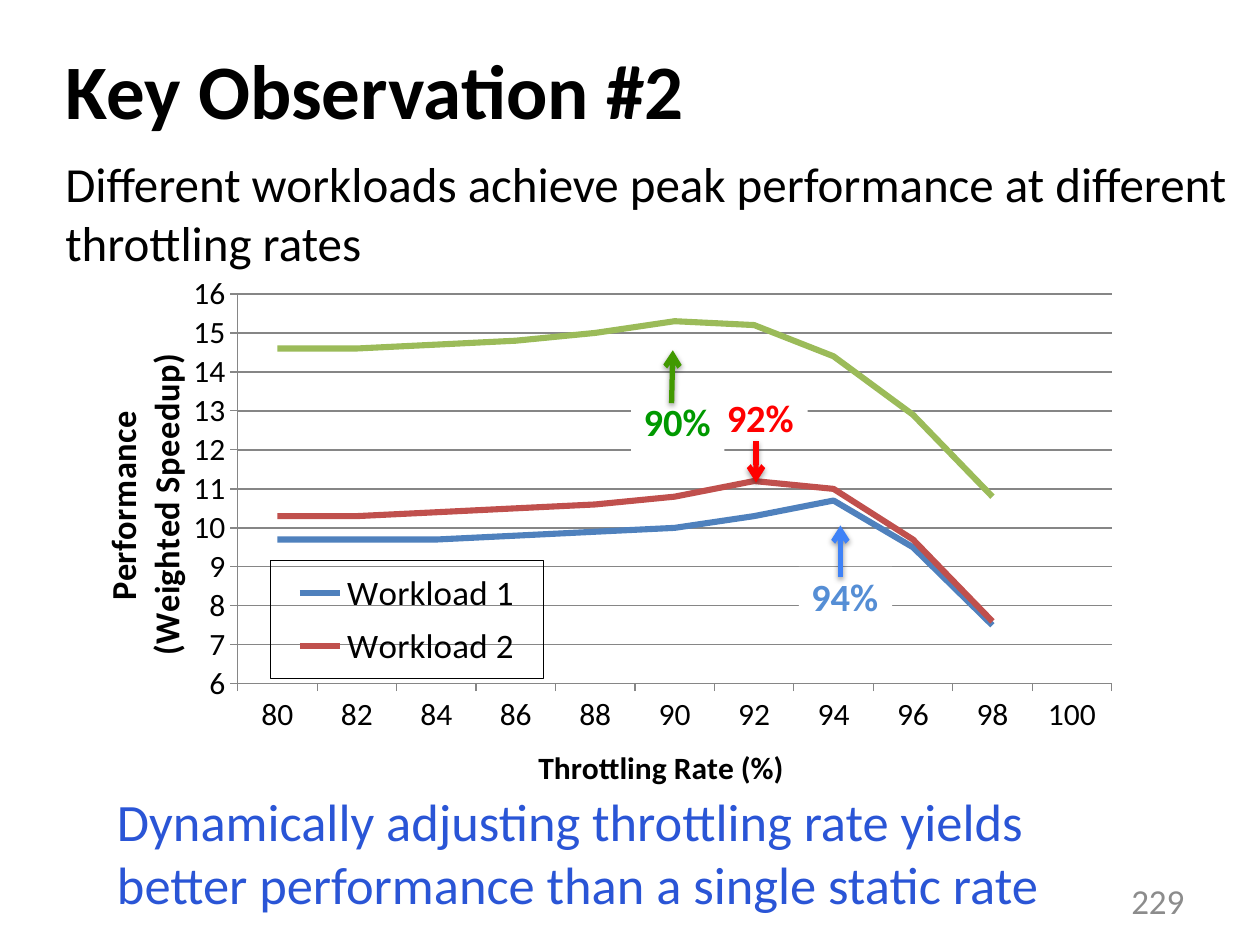
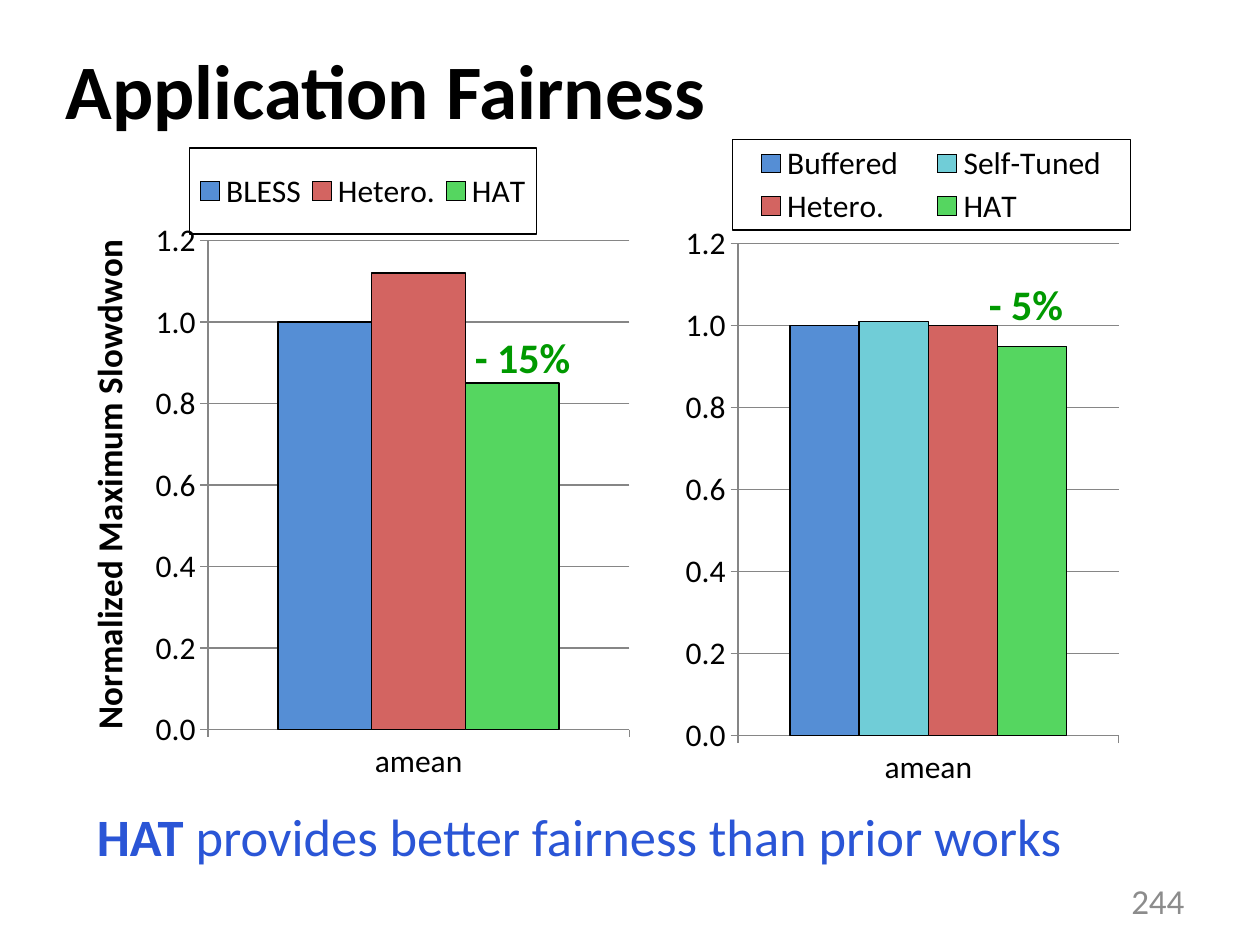
from dataclasses import dataclass
from typing import NamedTuple, Optional

from pptx import Presentation
from pptx.chart.data import CategoryChartData
from pptx.dml.color import RGBColor
from pptx.enum.chart import XL_CHART_TYPE, XL_LEGEND_POSITION, XL_TICK_MARK
from pptx.enum.shapes import MSO_CONNECTOR
from pptx.enum.text import MSO_ANCHOR, PP_ALIGN
from pptx.oxml import parse_xml
from pptx.oxml.ns import nsdecls, qn
from pptx.util import Inches, Pt

FONT = "Calibri"
BLACK, WHITE, GREY, GRID = "000000", "FFFFFF", "8C8C8C", "868686"
MESSAGE_BLUE, GREEN, RED, SKY = "2A55D6", "009900", "FF0000", "558ED5"
BRICK, LIME, TEAL = "D36461", "55D660", "70CDD7"


class Frame(NamedTuple):
    left: float
    top: float
    width: float
    height: float


class Span(NamedTuple):
    text: str
    bold: bool = False


class Series(NamedTuple):
    name: str
    values: list
    color: str


class AxisTitle(NamedTuple):
    text: str
    size: int
    left: float
    top: float


class PeakMark(NamedTuple):
    text: str
    frame: Frame
    text_color: str
    start: tuple
    end: tuple
    arrow_color: str


@dataclass
class ChartSpec:
    kind: XL_CHART_TYPE
    frame: Frame
    categories: list
    series: list
    plot: Frame
    legend: Frame
    legend_size: int
    minimum: float
    maximum: float
    step: float
    number_format: str
    value_title: Optional[AxisTitle] = None
    category_title: Optional[AxisTitle] = None
    unlisted: tuple = ()


def paint(code: str) -> RGBColor:
    return RGBColor.from_string(code)


def inches(frame: Frame) -> list:
    return [Inches(length) for length in frame]


def style_font(font, size: float, color: str, bold: bool = False) -> None:
    font.name = FONT
    font.size = Pt(size)
    font.bold = bold
    font.color.rgb = paint(color)


def add_spans(para, spans: list, size: float, color: str) -> None:
    for span in spans:
        run = para.add_run()
        run.text = span.text
        style_font(run.font, size, color, span.bold)


def add_text(page, frame: Frame, spans: list, size: float, color: str, wrap: bool = True):
    box = page.shapes.add_textbox(*inches(frame))
    box.text_frame.word_wrap = wrap
    add_spans(box.text_frame.paragraphs[0], spans, size, color)
    return box


def add_page(deck, title: str, number: str):
    page = deck.slides.add_slide(deck.slide_layouts[5])
    heading = page.shapes.title
    heading.left, heading.top, heading.width, heading.height = inches(Frame(0.42, 0.08, 9, 1.25))
    heading.text_frame.vertical_anchor = MSO_ANCHOR.MIDDLE
    para = heading.text_frame.paragraphs[0]
    para.alignment = PP_ALIGN.LEFT
    add_spans(para, [Span(title, True)], 44, BLACK)
    footer = add_text(page, Frame(7.17, 6.95, 2.33, 0.4), [Span(number)], 20, GREY)
    footer.text_frame.vertical_anchor = MSO_ANCHOR.MIDDLE
    footer.text_frame.paragraphs[0].alignment = PP_ALIGN.RIGHT
    return page


def place(parent, index: int, left: float, top: float, size: tuple = (), inner: bool = False) -> None:
    for old in parent.findall(qn("c:layout")):
        parent.remove(old)
    target = '<c:layoutTarget val="inner"/>' if inner else ""
    extent = "".join(f'<c:{tag} val="{value}"/>' for tag, value in zip("wh", size))
    parent.insert(index, parse_xml(
        f'<c:layout {nsdecls("c")}><c:manualLayout>{target}'
        f'<c:xMode val="edge"/><c:yMode val="edge"/>'
        f'<c:x val="{left}"/><c:y val="{top}"/>{extent}</c:manualLayout></c:layout>'))


def add_axis_title(axis, title: AxisTitle, vertical: bool) -> None:
    axis.has_title = True
    text_frame = axis.axis_title.text_frame
    for index, line in enumerate(title.text.split("\n")):
        para = text_frame.add_paragraph() if index else text_frame.paragraphs[0]
        add_spans(para, [Span(line, True)], title.size, BLACK)
    element = axis.axis_title._element
    if vertical:
        body = element.find(".//" + qn("a:bodyPr"))
        body.set("rot", "-5400000")
        body.set("vert", "horz")
    place(element, 1, title.left, title.top)


def style_axis(axis) -> None:
    axis.major_tick_mark = XL_TICK_MARK.OUTSIDE
    axis.minor_tick_mark = XL_TICK_MARK.NONE
    axis.format.line.color.rgb = paint(GRID)
    axis.format.line.width = Pt(0.75)
    style_font(axis.tick_labels.font, 18, BLACK)


def add_legend(chart, spec: ChartSpec) -> None:
    chart.has_legend = True
    chart.legend.position = XL_LEGEND_POSITION.RIGHT
    chart.legend.include_in_layout = False
    style_font(chart.legend.font, spec.legend_size, BLACK)
    element = chart.legend._element
    place(element, 1, spec.legend.left, spec.legend.top, spec.legend[2:])
    for index in spec.unlisted:
        element.insert(1, parse_xml(
            f'<c:legendEntry {nsdecls("c")}><c:idx val="{index}"/><c:delete val="1"/></c:legendEntry>'))
    element.find(qn("c:overlay")).addnext(parse_xml(
        f'<c:spPr {nsdecls("c", "a")}><a:noFill/><a:ln w="9525"><a:solidFill>'
        f'<a:srgbClr val="{BLACK}"/></a:solidFill></a:ln></c:spPr>'))


def add_spec_chart(page, spec: ChartSpec) -> None:
    data = CategoryChartData()
    data.categories = spec.categories
    for series in spec.series:
        data.add_series(series.name, series.values)
    chart = page.shapes.add_chart(spec.kind, *inches(spec.frame), data).chart
    chart.has_title = False
    style_font(chart.font, 10, BLACK)

    for axis in (chart.category_axis, chart.value_axis):
        style_axis(axis)
    value_axis = chart.value_axis
    value_axis.minimum_scale, value_axis.maximum_scale = spec.minimum, spec.maximum
    value_axis.major_unit = spec.step
    value_axis.tick_labels.number_format = spec.number_format
    value_axis.tick_labels.number_format_is_linked = False
    value_axis.has_major_gridlines = True
    value_axis.major_gridlines.format.line.color.rgb = paint(GRID)
    value_axis.major_gridlines.format.line.width = Pt(0.75)
    if spec.value_title:
        add_axis_title(value_axis, spec.value_title, True)
    if spec.category_title:
        add_axis_title(chart.category_axis, spec.category_title, False)

    plot = chart.plots[0]
    plot.vary_by_categories = False
    is_line = spec.kind == XL_CHART_TYPE.LINE
    if not is_line:
        plot.gap_width, plot.overlap = 150, 0
    for drawn, series in zip(plot.series, spec.series):
        line = drawn.format.line
        if is_line:
            drawn.smooth = False
        else:
            drawn.format.fill.solid()
            drawn.format.fill.fore_color.rgb = paint(series.color)
        line.color.rgb = paint(series.color if is_line else BLACK)
        line.width = Pt(3.5 if is_line else 0.75)

    add_legend(chart, spec)
    area = chart._chartSpace.chart.plotArea
    place(area, 0, spec.plot.left, spec.plot.top, spec.plot[2:], True)


def add_peak_label(page, mark: PeakMark) -> None:
    box = add_text(page, mark.frame, [Span(mark.text, True)], 22, mark.text_color, False)
    box.fill.solid()
    box.fill.fore_color.rgb = paint(WHITE)


def add_peak_arrow(page, mark: PeakMark) -> None:
    ends = [Inches(length) for length in (*mark.start, *mark.end)]
    arrow = page.shapes.add_connector(MSO_CONNECTOR.STRAIGHT, *ends)
    arrow.line.color.rgb = paint(mark.arrow_color)
    arrow.line.width = Pt(3)
    arrow.line._get_or_add_ln().append(parse_xml(f'<a:tailEnd {nsdecls("a")} type="arrow"/>'))
    arrow._element.spPr.append(parse_xml(
        f'<a:effectLst {nsdecls("a")}><a:outerShdw blurRad="{Pt(3.1)}" dist="{Pt(1.6)}" '
        f'dir="5400000" rotWithShape="0"><a:srgbClr val="{BLACK}"><a:alpha val="38000"/>'
        f'</a:srgbClr></a:outerShdw></a:effectLst>'))


def build_observation(deck) -> None:
    page = add_page(deck, "Key Observation #2", "229")
    add_spec_chart(page, ChartSpec(
        XL_CHART_TYPE.LINE, Frame(0.5, 2.17, 8.67, 4.15),
        [str(rate) for rate in range(80, 101, 2)],
        [
            Series("Workload 1", [9.7, 9.7, 9.7, 9.8, 9.9, 10, 10.3, 10.7, 9.5, 7.5, None], "4F81BD"),
            Series("Workload 2", [10.3, 10.3, 10.4, 10.5, 10.6, 10.8, 11.2, 11, 9.7, 7.6, None], "C0504D"),
            Series("Workload 3", [14.6, 14.6, 14.7, 14.8, 15, 15.3, 15.2, 14.4, 12.9, 10.8, None], "9BBB59"),
        ],
        Frame(0.16, 0.04, 0.8, 0.76), Frame(0.19, 0.56, 0.25, 0.23), 20, 6, 16, 1, "General",
        AxisTitle("Performance\n(Weighted Speedup)", 20, 0.03, 0.16),
        AxisTitle("Throttling Rate (%)", 18, 0.43, 0.91), (2,)))
    add_text(page, Frame(0.42, 1.17, 9.42, 1.04), [Span(
        "Different workloads achieve peak performance at different throttling rates")], 28, BLACK)
    add_text(page, Frame(0.83, 6.21, 8.25, 1.11), [Span(
        "Dynamically adjusting throttling rate yields better performance than a single static rate")],
        30, MESSAGE_BLUE)
    marks = [
        PeakMark("90%", Frame(5.01, 3.11, 0.74, 0.47), GREEN, (5.33, 3.2), (5.34, 2.78), "419900"),
        PeakMark("92%", Frame(5.67, 3.08, 0.74, 0.47), RED, (6, 3.5), (6, 3.83), RED),
        PeakMark("94%", Frame(6.34, 4.5, 0.74, 0.47), SKY, (6.67, 4.58), (6.67, 4.17), "3E82F7"),
    ]
    for draw in (add_peak_label, add_peak_arrow):
        for mark in marks:
            draw(page, mark)


def build_fairness(deck) -> None:
    page = add_page(deck, "Application Fairness", "244")
    add_text(page, Frame(0.67, 6.33, 8.58, 0.61), [
        Span("HAT ", True), Span("provides better fairness than prior works")], 30, MESSAGE_BLUE)
    scale = (18, 0, 1.2, 0.2, "0.0")
    add_spec_chart(page, ChartSpec(
        XL_CHART_TYPE.COLUMN_CLUSTERED, Frame(0.42, 1.17, 4.92, 5.25), ["amean"],
        [Series("BLESS", [1], SKY), Series("Hetero.", [1.12], BRICK), Series("HAT", [0.85], LIME)],
        Frame(0.25, 0.14, 0.68, 0.74), Frame(0.22, 0, 0.56, 0.13), *scale,
        AxisTitle("Normalized Maximum Slowdwon", 20, 0.04, 0.13)))
    add_spec_chart(page, ChartSpec(
        XL_CHART_TYPE.COLUMN_CLUSTERED, Frame(5.17, 1, 4.58, 5.5), ["amean"],
        [Series("Buffered", [1], SKY), Series("Self-Tuned", [1.01], TEAL),
         Series("Hetero.", [1], BRICK), Series("HAT", [0.95], LIME)],
        Frame(0.15, 0.17, 0.66, 0.71), Frame(0.14, 0.02, 0.69, 0.13), *scale))
    for text, frame in (("- 15%", Frame(3.67, 2.58, 0.97, 0.5)), ("- 5%", Frame(7.75, 2.16, 0.8, 0.5))):
        add_text(page, frame, [Span(text, True)], 24, GREEN, False)


def main() -> None:
    deck = Presentation()
    deck.slide_width, deck.slide_height = Inches(10), Inches(7.5)
    build_observation(deck)
    build_fairness(deck)
    deck.save("out.pptx")


if __name__ == "__main__":
    main()
